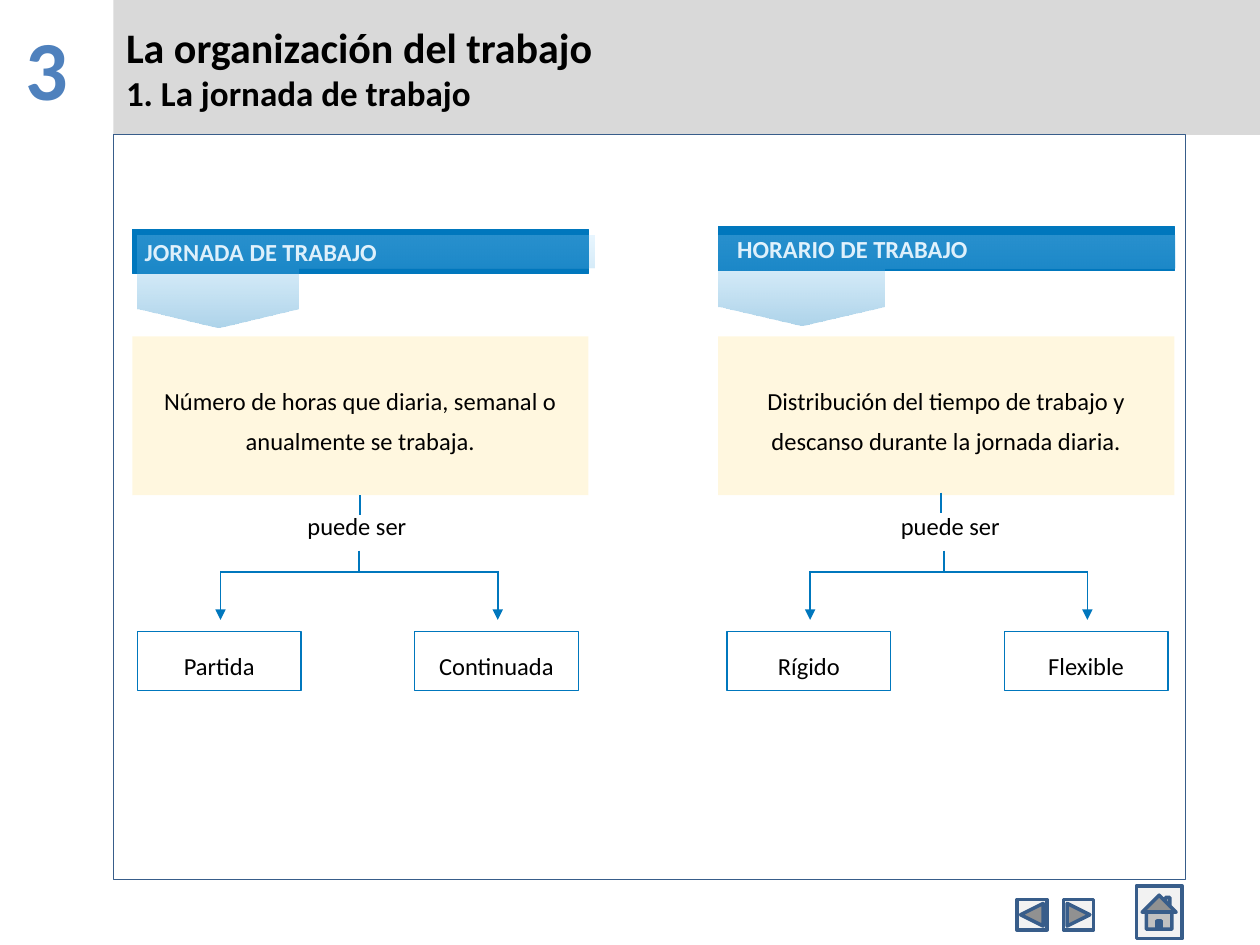
from lxml.etree import SubElement
from pptx import Presentation
from pptx.dml.color import RGBColor
from pptx.enum.shapes import MSO_CONNECTOR as Conn, MSO_SHAPE as Shape
from pptx.enum.text import MSO_ANCHOR as Anchor, MSO_AUTO_SIZE as AutoSize, PP_ALIGN as Align
from pptx.oxml.ns import qn
from pptx.util import Inches, Pt

COLS, ROWS = 100, 75
WIDTH, HEIGHT = Inches(10), Inches(7.5)
BLUE, NAVY, BLACK = "0077BD", "385D8A", "000000"
BRANCH_GAP = 22

TOPICS = [
    dict(header="JORNADA DE TRABAJO", left=10.5, top=18.2, indent=0.1,
         pocket=10.9, pocket_width=12.8, tip=26,
         body="Número de horas que diaria, semanal o anualmente se trabaja.",
         label_left=24.2, stems=[(28.6, 39.3, 40.9), (28.5, 43.7, 45.3)],
         branch=17.5, options=["Partida", "Continuada"]),
    dict(header="HORARIO DE TRABAJO", left=57, top=18, indent=0.15,
         pocket=57, pocket_width=13.2, tip=25.8,
         body="Distribución del tiempo de trabajo y descanso durante la jornada diaria.",
         label_left=71.3, stems=[(74.7, 39.1, 40.7), (74.9, 43.7, 45.3)],
         branch=64.3, options=["Rígido", "Flexible"]),
]


def rgb(value):
    return RGBColor.from_string(value)


def x(col):
    return round(WIDTH * col / COLS)


def y(row):
    return round(HEIGHT * row / ROWS)


def box(col, row, cols, rows):
    return x(col), y(row), x(cols), y(rows)


def set_all(target, values):
    for name, value in values.items():
        setattr(target, name, value)


def set_alpha(sp, *percents):
    for color, percent in zip(list(sp.element.spPr.iter(qn("a:srgbClr"))), percents):
        SubElement(color, qn("a:alpha"), val=str(percent * 1000))


def write(sp, lines, color=BLACK, bold=False, align=Align.LEFT, spacing=1.0,
          margin=0.1, pad=0.05, anchor=Anchor.MIDDLE):
    tf = sp.text_frame
    set_all(tf, dict(word_wrap=True, auto_size=AutoSize.NONE, vertical_anchor=anchor,
                     margin_left=Inches(margin), margin_right=Inches(0.1),
                     margin_top=Inches(pad), margin_bottom=Inches(pad)))
    for i, (text, size) in enumerate(lines):
        p = tf.paragraphs[0] if i == 0 else tf.add_paragraph()
        set_all(p, dict(alignment=align, line_spacing=spacing))
        r = p.add_run()
        r.text = text
        set_all(r.font, dict(name="Calibri", size=Pt(size), bold=bold))
        r.font.color.rgb = rgb(color)


def paint(sp, fill=None, line=None, width=0.75):
    sp.shadow.inherit = False
    if fill:
        sp.fill.solid()
        sp.fill.fore_color.rgb = rgb(fill)
    else:
        sp.fill.background()
    if line:
        sp.line.color.rgb = rgb(line)
        sp.line.width = Pt(width)
    else:
        sp.line.fill.background()


def add_block(s, kind, place, fill=None, line=None, width=0.75):
    sp = s.shapes.add_shape(kind, *box(*place))
    paint(sp, fill, line, width)
    return sp


def add_label(s, place, text, size, **style):
    write(s.shapes.add_textbox(*box(*place)), [(text, size)], **style)


def add_line(s, start, end, width=1, arrow=False):
    cx = s.shapes.add_connector(Conn.STRAIGHT, x(start[0]), y(start[1]), x(end[0]), y(end[1]))
    cx.line.color.rgb = rgb(BLUE)
    cx.line.width = Pt(width)
    if arrow:
        SubElement(cx.line._get_or_add_ln(), qn("a:tailEnd"), type="triangle")
    SubElement(cx.element.spPr, qn("a:effectLst"))


def add_pointer(s, left, pocket_width, tip):
    right, inner, shoulder = left + 36.3, left + pocket_width, tip - 1.5
    points = [(right, 18.7), (right, 21.3), (inner, 21.3), (inner, shoulder),
              (left + pocket_width / 2, tip), (left, shoulder)]
    builder = s.shapes.build_freeform(x(left), y(18.7), scale=1.0)
    builder.add_line_segments([(x(col), y(row)) for col, row in points], close=True)
    sp = builder.convert_to_shape()
    paint(sp)
    sp.fill.gradient()
    sp.fill.gradient_angle = 90
    for stop, color, position in zip(sp.fill.gradient_stops, (BLUE, "A1DBFF"), (0, 1)):
        stop.color.rgb = rgb(color)
        stop.position = position
    set_alpha(sp, 32, 25)


def add_branches(s, left, options):
    add_line(s, (left, 45.4), (left + BRANCH_GAP, 45.4), 1.5)
    for i, option in enumerate(options):
        col = left + i * BRANCH_GAP
        add_line(s, (col, 45.3), (col, 49.2), arrow=True)
        sp = add_block(s, Shape.RECTANGLE, (col - 6.6, 50.1, 13, 4.7), line=BLUE)
        write(sp, [(option, 14)], align=Align.CENTER, spacing=1.35)


def add_topic(s, topic):
    left = topic["left"]
    header = add_block(s, Shape.RECTANGLE, (left, topic["top"], 36.2, 3.5), BLUE, BLUE)
    write(header, [(topic["header"], 14)], "FFFFFF", True, margin=topic["indent"])
    add_pointer(s, topic["pocket"], topic["pocket_width"], topic["tip"])
    body = add_block(s, Shape.RECTANGLE, (left, 26.7, 36.2, 12.6), "FFF0C1")
    set_alpha(body, 50)
    write(body, [(topic["body"], 14)], align=Align.CENTER, spacing=1.35)
    add_label(s, (topic["label_left"], 40.6, 12.6, 2.3), "puede ser", 14,
              margin=0.02, pad=0, anchor=Anchor.TOP)
    for col, top, bottom in topic["stems"]:
        add_line(s, (col, top), (col, bottom))
    add_branches(s, topic["branch"], topic["options"])


def add_title(s):
    title = s.shapes.title
    set_all(title, dict(zip(("left", "top", "width", "height"), box(9, 0, 91, 10.7))))
    title.fill.solid()
    title.fill.fore_color.rgb = rgb("D9D9D9")
    write(title, [("La organización del trabajo", 24), ("1. La jornada de trabajo", 20)],
          bold=True)


def add_navigation(s):
    for kind, place in [
        (Shape.ACTION_BUTTON_BACK_OR_PREVIOUS, (80.7, 71.4, 2.4, 2.4)),
        (Shape.ACTION_BUTTON_FORWARD_OR_NEXT, (84.4, 71.4, 2.4, 2.4)),
        (Shape.ACTION_BUTTON_HOME, (90.2, 70.3, 3.6, 4.2)),
    ]:
        add_block(s, kind, place, "F2F2F2", NAVY, 2)


def main():
    prs = Presentation()
    set_all(prs, dict(slide_width=WIDTH, slide_height=HEIGHT))
    s = prs.slides.add_slide(prs.slide_layouts[5])
    add_title(s)
    add_label(s, (0, 0.8, 7.4, 9.2), "3", 48, color="4F81BD", bold=True,
              align=Align.CENTER, anchor=Anchor.TOP)
    add_block(s, Shape.RECTANGLE, (9, 10.7, 85.1, 59.1), line=NAVY)
    add_navigation(s)
    for topic in TOPICS:
        add_topic(s, topic)
    prs.save("out.pptx")


if __name__ == "__main__":
    main()
